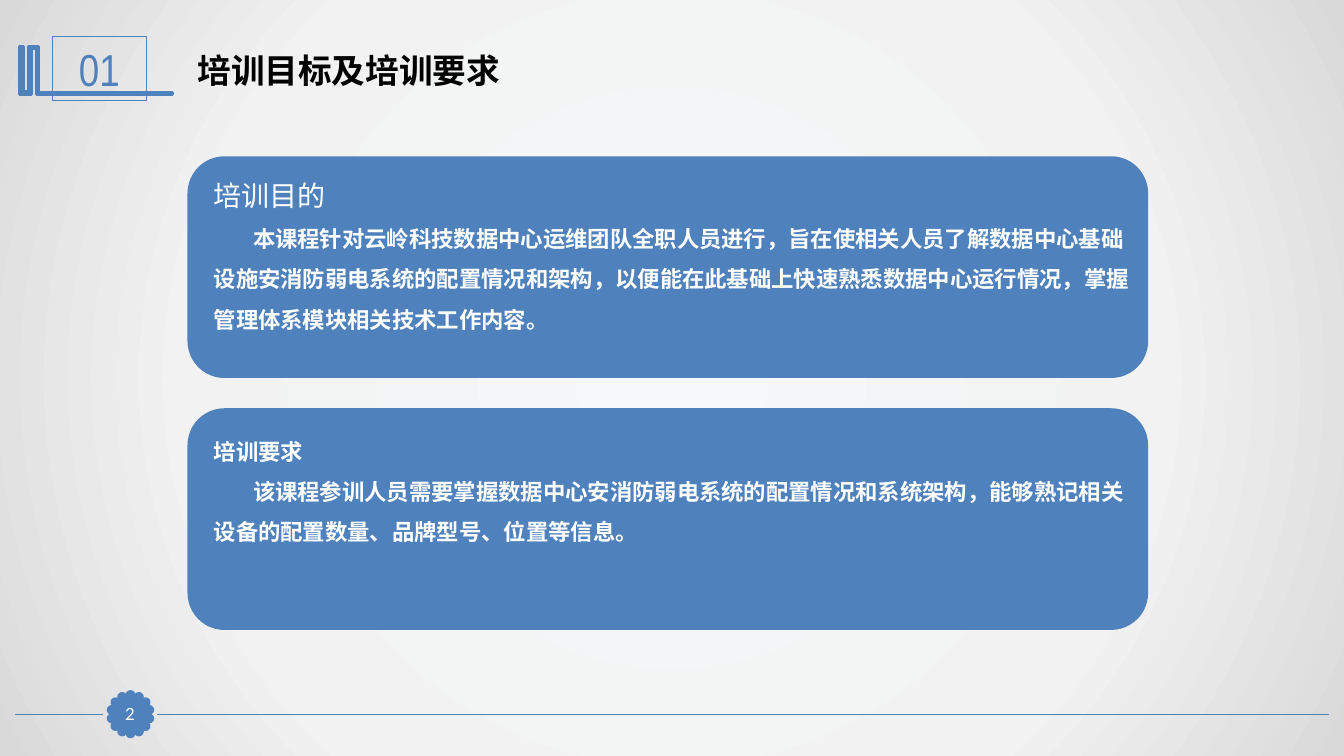
from dataclasses import dataclass
from math import cos, radians, sin

from lxml import etree
from pptx import Presentation
from pptx.dml.color import RGBColor
from pptx.enum.shapes import MSO_CONNECTOR, MSO_SHAPE
from pptx.enum.text import MSO_ANCHOR, MSO_AUTO_SIZE, PP_ALIGN
from pptx.oxml.ns import qn
from pptx.util import Emu, Inches, Pt

LEFT, CENTER = PP_ALIGN.LEFT, PP_ALIGN.CENTER
TOP, MIDDLE = MSO_ANCHOR.TOP, MSO_ANCHOR.MIDDLE
NO_FIT = MSO_AUTO_SIZE.NONE
RECTANGLE, OVAL = MSO_SHAPE.RECTANGLE, MSO_SHAPE.OVAL
ROUNDED = MSO_SHAPE.ROUNDED_RECTANGLE
STRAIGHT = MSO_CONNECTOR.STRAIGHT

SLIDE_WIDTH, SLIDE_HEIGHT = Inches(13.333), Inches(7.5)
PETALS = 14
TWO_CONTENT_LAYOUT = 3


@dataclass(frozen=True)
class TextStyle:
    size: float
    color: str
    name: str = "Lato"
    bold: bool = False


@dataclass(frozen=True)
class Theme:
    accent: str = "4F81BD"
    backdrop: tuple = ((0, "F6F9FC"), (63, "F2F2F2"), (100, "D9D9D9"))
    east_asian: str = "Noto Sans CJK SC"
    title: TextStyle = TextStyle(24, "000000", bold=True)
    chapter: TextStyle = TextStyle(32, "4F81BD", "Arial Narrow")
    heading: TextStyle = TextStyle(20, "FFFFFF", "Noto Sans CJK SC")
    body: TextStyle = TextStyle(16, "FFFFFF", bold=True)
    page_number: TextStyle = TextStyle(12, "FFFFFF")


THEME = Theme()


@dataclass(frozen=True)
class Area:
    """A rectangle in percent of the slide's width and height."""
    left: float
    top: float
    width: float
    height: float

    def emu(self) -> tuple:
        return (across(self.left), down(self.top),
                across(self.width), down(self.height))


@dataclass(frozen=True)
class Card:
    area: Area
    text_area: Area
    heading: str
    heading_style: TextStyle
    body: str


CARDS = (
    Card(Area(13.95, 20.67, 71.48, 29.33), Area(15.15, 20.67, 70.28, 24.27),
         "培训目的", THEME.heading,
         "本课程针对云岭科技数据中心运维团队全职人员进行，旨在使相关人员了解数据中心基础设施安消防弱电系统的配置情况和架构，"
         "以便能在此基础上快速熟悉数据中心运行情况，掌握管理体系模块相关技术工作内容。"),
    Card(Area(13.95, 54, 71.48, 29.33), Area(15.15, 55.47, 70.28, 17.47),
         "培训要求", THEME.body,
         "该课程参训人员需要掌握数据中心安消防弱电系统的配置情况和系统架构，能够熟记相关设备的配置数量、品牌型号、位置等信息。"),
)

# Corners of the book mark, in hundredths of an inch.
BOOK_MARK = ((37, 46), (38, 46), (38, 92), (171, 92), (171, 94), (36, 94),
             (36, 48), (31, 48), (31, 94), (19, 94), (19, 46), (23, 46),
             (23, 91), (28, 91), (28, 46))


def across(percent: float) -> Emu:
    return Emu(round(SLIDE_WIDTH * percent / 100))


def down(percent: float) -> Emu:
    return Emu(round(SLIDE_HEIGHT * percent / 100))


def rgb(color: str) -> RGBColor:
    return RGBColor.from_string(color)


def apply(target, formats: dict) -> None:
    for name, value in formats.items():
        setattr(target, name, value)


def paint(shape, fill: str = "", line: float = 0) -> None:
    """Give a shape a flat fill and an accent outline, each optional."""
    shape.shadow.inherit = False
    if fill:
        shape.fill.solid()
        shape.fill.fore_color.rgb = rgb(fill)
    else:
        shape.fill.background()
    if line:
        shape.line.color.rgb = rgb(THEME.accent)
        shape.line.width = Pt(line)
    else:
        shape.line.fill.background()


def write(para, text: str, style: TextStyle, formats: dict) -> None:
    apply(para, formats)
    span = para.add_run()
    span.text = text
    apply(span.font, {"size": Pt(style.size), "name": style.name, "bold": style.bold})
    span.font.color.rgb = rgb(style.color)
    etree.SubElement(span.font._element, qn("a:ea"), typeface=THEME.east_asian)


def place(box, area: Area) -> None:
    apply(box, dict(zip(("left", "top", "width", "height"), area.emu())))
    apply(box.text_frame, {"word_wrap": True, "auto_size": NO_FIT, "vertical_anchor": TOP})


def add_preset(page, kind, area: Area, fill: str = "", line: float = 0):
    shape = page.shapes.add_shape(kind, *area.emu())
    paint(shape, fill, line)
    return shape


def label(shape, text: str, style: TextStyle) -> None:
    """Centre one line of text in a shape, without insets."""
    apply(shape.text_frame, {"vertical_anchor": MIDDLE, "margin_left": 0, "margin_right": 0,
                             "margin_top": 0, "margin_bottom": 0})
    write(shape.text_frame.paragraphs[0], text, style, {"alignment": CENTER})


def set_backdrop(page) -> None:
    """Fill the background with a circular gradient from the centre."""
    page.background.fill.gradient()
    gradient = page._element.find(".//" + qn("a:gradFill"))
    for child in list(gradient):
        gradient.remove(child)
    stops = etree.SubElement(gradient, qn("a:gsLst"))
    for position, color in THEME.backdrop:
        stop = etree.SubElement(stops, qn("a:gs"), pos=str(position * 1000))
        etree.SubElement(stop, qn("a:srgbClr"), val=color)
    circle = etree.SubElement(gradient, qn("a:path"), path="circle")
    etree.SubElement(circle, qn("a:fillToRect"), dict.fromkeys("ltrb", "50000"))


def add_footer_rule(page, start: float, end: float) -> None:
    rule = page.shapes.add_connector(STRAIGHT, across(start), down(94.5),
                                     across(end), down(94.5))
    rule.line.color.rgb = rgb(THEME.accent)
    rule.line.width = Pt(1.25)
    etree.SubElement(rule._element.spPr, qn("a:effectLst"))


def add_page_badge(page, number: str) -> None:
    """Draw a ring of petals around the page number."""
    for petal in range(PETALS):
        angle = radians(360 * petal / PETALS)
        area = Area(9.71 + 1.43 * sin(angle) - 0.53 / 2,
                    94.47 - 2.53 * cos(angle) - 0.93 / 2, 0.53, 0.93)
        add_preset(page, OVAL, area, THEME.accent, 2)
    center = add_preset(page, RECTANGLE, Area(8.48, 92.4, 2.4, 4.13), THEME.accent, 0.75)
    label(center, number, THEME.page_number)


def add_chapter_mark(page, number: str) -> None:
    outline = page.shapes.build_freeform(*BOOK_MARK[0], scale=Inches(0.01))
    outline.add_line_segments(BOOK_MARK[1:], close=True)
    paint(outline.convert_to_shape(), THEME.accent, 2)
    frame = add_preset(page, RECTANGLE, Area(3.9, 4.8, 6.98, 8.53), line=0.75)
    label(frame, number, THEME.chapter)


def add_card(page, box, card: Card) -> None:
    add_preset(page, ROUNDED, card.area, THEME.accent)
    page.shapes._spTree.append(box._element)  # text goes in front of its card
    place(box, card.text_area)
    heading = box.text_frame.paragraphs[0]
    body = box.text_frame.add_paragraph()
    formats = {"alignment": LEFT, "line_spacing": 1.5, "space_before": Pt(0)}
    for para, indent in ((heading, 0), (body, Inches(0.39))):
        properties = para._p.get_or_add_pPr()
        properties.set("marL", "0")
        properties.set("indent", str(indent))
        etree.SubElement(properties, qn("a:buNone"))
    write(heading, card.heading, card.heading_style, formats)
    write(body, card.body, THEME.body, formats)


def main() -> None:
    deck = Presentation()
    apply(deck, {"slide_width": SLIDE_WIDTH, "slide_height": SLIDE_HEIGHT})
    page = deck.slides.add_slide(deck.slide_layouts[TWO_CONTENT_LAYOUT])
    title, *boxes = page.placeholders
    set_backdrop(page)
    for start, end in ((11.7, 98.85), (1.13, 7.65)):
        add_footer_rule(page, start, end)
    add_page_badge(page, "2")
    add_chapter_mark(page, "01")
    place(title, Area(13.95, 5.87, 72.68, 6.8))
    write(title.text_frame.paragraphs[0], "培训目标及培训要求", THEME.title, {"alignment": LEFT})
    for box, card in zip(boxes, CARDS):
        add_card(page, box, card)
    deck.save("out.pptx")


if __name__ == "__main__":
    main()
